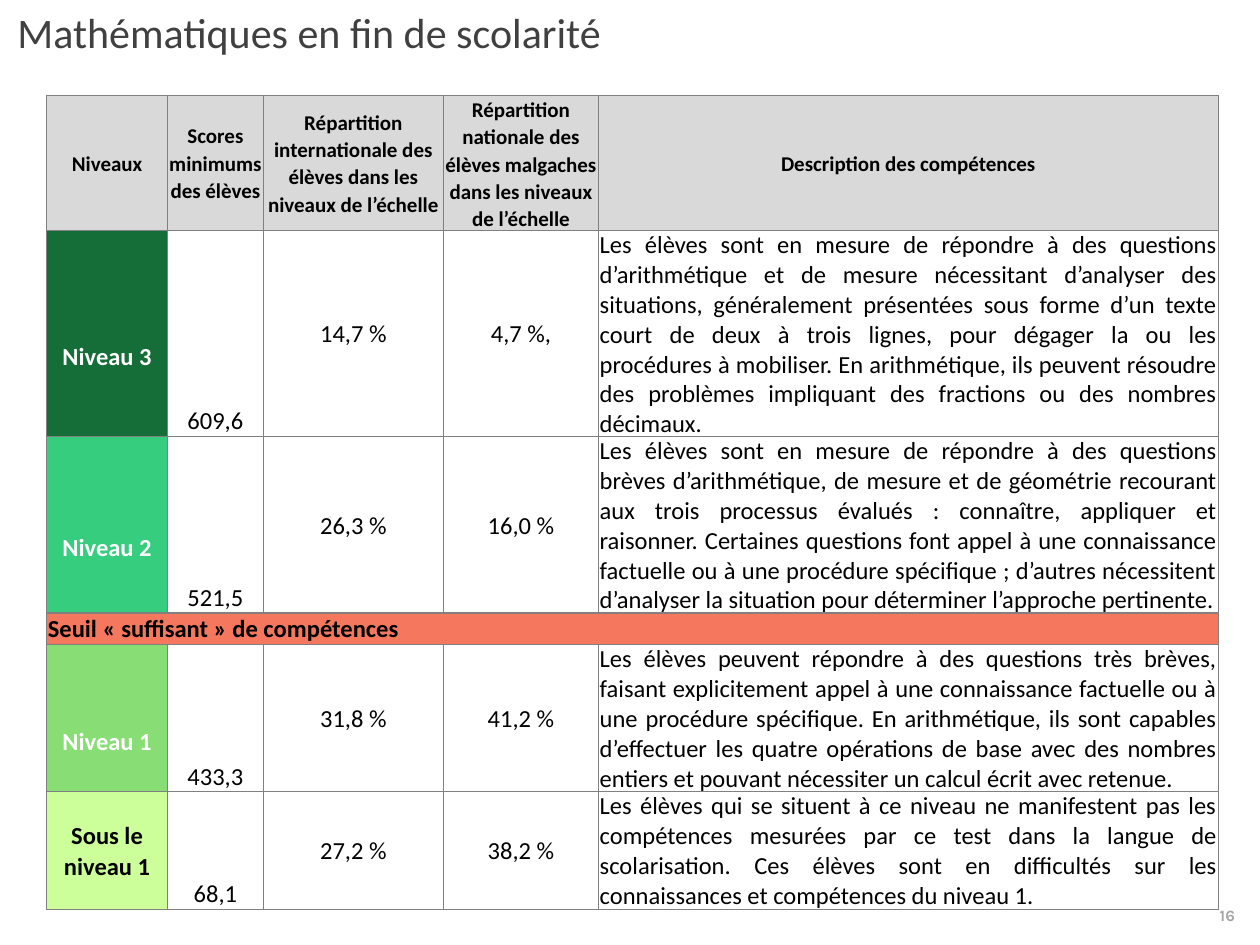
import pptx
import pptx.util
import pptx.dml.color
import pptx.enum.text
import pptx.oxml
import pptx.oxml.ns
from pptx.util import Inches

COLORS = {
    "black": "000000", "white": "FFFFFF", "title": "404040",
    "page": "A6A6A6", "line": "808080", "head": "D9D9D9",
    "high": "156D37", "mid": "37CD7E", "low": "89DD75",
    "under": "CCFF99", "bar": "F4775E",
}
ALIGN = pptx.enum.text.PP_ALIGN
ANCHOR = pptx.enum.text.MSO_ANCHOR

WIDTHS = [0.96, 0.76, 1.43, 1.23, 4.92]
HEIGHTS = [0.67, 0.96, 0.97, 0.25, 0.72, 0.53]
HEADS = [
    "Niveaux",
    "Scores minimums des élèves",
    "Répartition internationale des élèves dans les niveaux de l’échelle",
    "Répartition nationale des élèves malgaches dans les niveaux de l’échelle",
    "Description des compétences",
]
BAR = "Seuil « suffisant » de compétences"
LEVELS = [
    (1, "high", "Niveau 3", "609,6", "14,7 %", "4,7 %,",
     "Les élèves sont en mesure de répondre à des questions d’arithmétique et de "
     "mesure nécessitant d’analyser des situations, généralement présentées sous "
     "forme d’un texte court de deux à trois lignes, pour dégager la ou les "
     "procédures à mobiliser. En arithmétique, ils peuvent résoudre des problèmes "
     "impliquant des fractions ou des nombres décimaux."),
    (2, "mid", "Niveau 2", "521,5", "26,3 %", "16,0 %",
     "Les élèves sont en mesure de répondre à des questions brèves d’arithmétique, "
     "de mesure et de géométrie recourant aux trois processus évalués : connaître, "
     "appliquer et raisonner. Certaines questions font appel à une connaissance "
     "factuelle ou à une procédure spécifique ; d’autres nécessitent d’analyser la "
     "situation pour déterminer l’approche pertinente."),
    (4, "low", "Niveau 1", "433,3", "31,8 %", "41,2 %",
     "Les élèves peuvent répondre à des questions très brèves, faisant explicitement "
     "appel à une connaissance factuelle ou à une procédure spécifique. En "
     "arithmétique, ils sont capables d’effectuer les quatre opérations de base avec "
     "des nombres entiers et pouvant nécessiter un calcul écrit avec retenue."),
    (5, "under", "Sous le niveau 1", "68,1", "27,2 %", "38,2 %",
     "Les élèves qui se situent à ce niveau ne manifestent pas les compétences "
     "mesurées par ce test dans la langue de scolarisation. Ces élèves sont en "
     "difficultés sur les connaissances et compétences du niveau 1."),
]


def rgb(name):
    return pptx.dml.color.RGBColor.from_string(COLORS[name])


def put_text(frame, text, size=14, color="black", bold=False, font="Calibri",
             align=ALIGN.CENTER, space=None):
    frame.word_wrap = True
    para = frame.paragraphs[0]
    para.alignment = align
    if space:
        para.line_spacing = space
    run = para.add_run()
    run.text = text
    run.font.size = pptx.util.Pt(size)
    run.font.name = font
    run.font.bold = bold
    run.font.color.rgb = rgb(color)


def add_label(slide, box, text, **style):
    label = slide.shapes.add_textbox(*map(Inches, box))
    put_text(label.text_frame, text, **style)


def add_edges(cell):
    props = cell._tc.get_or_add_tcPr()
    for spot, side in enumerate(("lnL", "lnR", "lnT", "lnB")):
        edge = pptx.oxml.parse_xml(
            f'<a:{side} {pptx.oxml.ns.nsdecls("a")} w="12700"><a:solidFill>'
            f'<a:srgbClr val="{COLORS["line"]}"/></a:solidFill></a:{side}>')
        props.insert(spot, edge)


def fill_cell(cell, text, fill=None, anchor=ANCHOR.MIDDLE, top=0, side=0.01, **style):
    cell.margin_left = cell.margin_right = Inches(side)
    cell.margin_top, cell.margin_bottom = Inches(top), 0
    cell.vertical_anchor = anchor
    if fill:
        cell.fill.solid()
        cell.fill.fore_color.rgb = rgb(fill)
    put_text(cell.text_frame, text, **style)


def add_grid(slide, box):
    frame = slide.shapes.add_table(len(HEIGHTS), len(WIDTHS), *map(Inches, box))
    table = frame.table
    table.first_row = table.horz_banding = False
    for col, width in zip(table.columns, WIDTHS):
        col.width = Inches(width)
    for row, height in zip(table.rows, HEIGHTS):
        row.height = Inches(height)
    for cell in table.iter_cells():
        cell.fill.background()
        add_edges(cell)
    for col, text in enumerate(HEADS):
        fill_cell(table.cell(0, col), text, fill="head", size=12, bold=True,
                  space=1.07, side=0 if col == 1 else 0.01)
    for row, fill, name, score, world, local, about in LEVELS:
        last = fill == "under"
        fill_cell(table.cell(row, 0), name, fill=fill, bold=True, space=1.07,
                  color="black" if last else "white", top=0 if last else 0.36)
        fill_cell(table.cell(row, 1), score, anchor=ANCHOR.BOTTOM, space=1.07)
        fill_cell(table.cell(row, 2), world, space=1.07)
        fill_cell(table.cell(row, 3), local, space=1.07)
        fill_cell(table.cell(row, 4), about, anchor=ANCHOR.TOP, align=ALIGN.JUSTIFY)
    table.cell(3, 0).merge(table.cell(3, 4))
    fill_cell(table.cell(3, 0), BAR, fill="bar", bold=True, align=ALIGN.JUSTIFY)


def main():
    deck = pptx.Presentation()
    deck.slide_width, deck.slide_height = Inches(10), Inches(7.5)
    slide = deck.slides.add_slide(deck.slide_layouts[6])
    add_label(slide, (9.53, 7.14, 0.42, 0.25), "16", size=9, color="page",
              bold=True, font="Karla")
    add_label(slide, (0.04, 0, 9.96, 0.5), "Mathématiques en fin de scolarité",
              size=24, color="title", align=ALIGN.JUSTIFY)
    add_grid(slide, (0.37, 0.76, 9.3, 6.22))
    deck.save("out.pptx")


if __name__ == "__main__":
    main()
